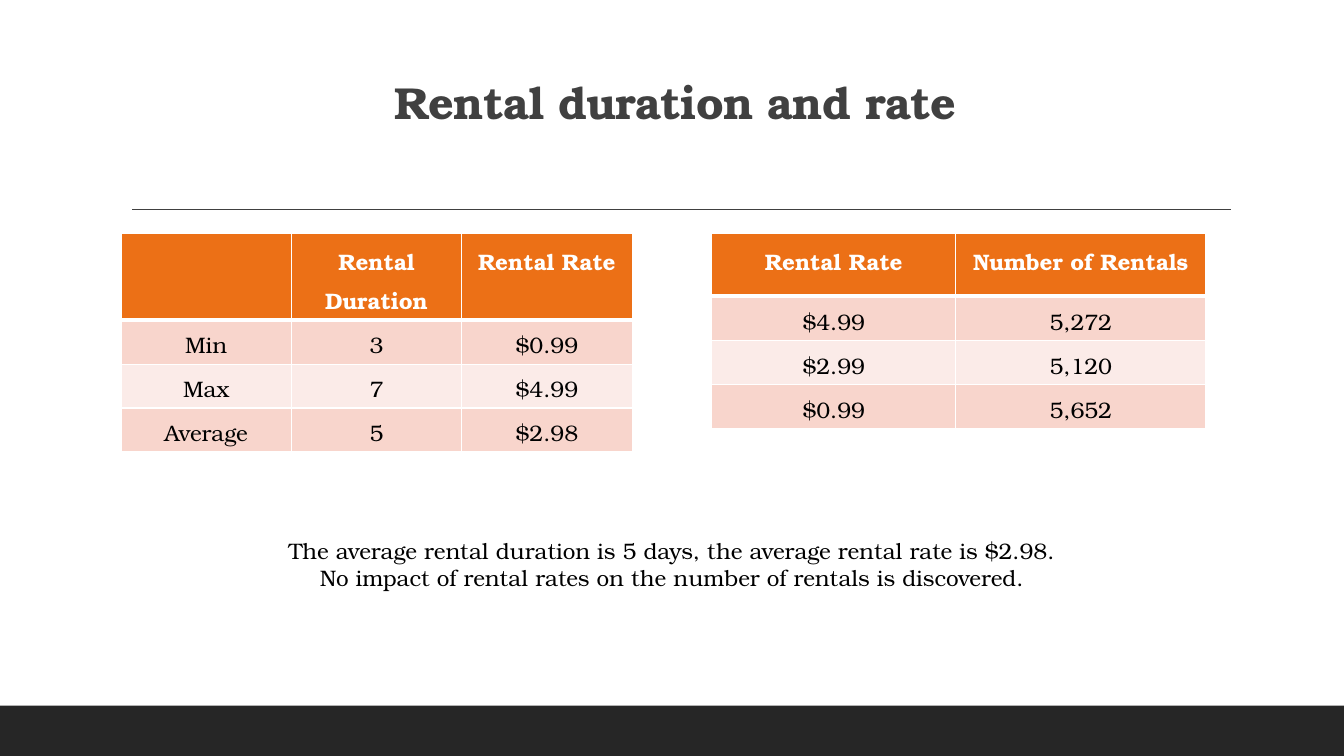
from lxml import etree
from pptx import Presentation
from pptx import util as u
from pptx.dml.color import RGBColor
from pptx.enum import shapes, text
from pptx.oxml.ns import qn

COLORS = {"band": "262626", "title": "404040", "header": "EC7016", "odd": "F8D5CC",
          "even": "FBEBE8", "white": "FFFFFF", "black": "000000"}
FONT = "TeX Gyre Bonum"
WIDTH, HEIGHT = 13.33, 7.5
TABLE_TOP, ROW_HEIGHT = 2.32, 0.41


def write(para, words, color, size=16, bold=False):
    para.alignment = text.PP_ALIGN.CENTER
    span = para.add_run()
    span.text = words
    for name, value in {"name": FONT, "size": u.Pt(size), "bold": bold}.items():
        setattr(span.font, name, value)
    span.font.color.rgb = RGBColor.from_string(COLORS[color])
    return span


def add_borders(cell, bottom):
    props = cell._tc.get_or_add_tcPr()
    widths = {"lnL": 1, "lnR": 1, "lnT": 1, "lnB": bottom}
    for place, (side, points) in enumerate(widths.items()):
        line = etree.Element(qn(f"a:{side}"), w=str(u.Pt(points)))
        fill = etree.SubElement(line, qn("a:solidFill"))
        etree.SubElement(fill, qn("a:srgbClr"), val=COLORS["white"])
        props.insert(place, line)


deck = Presentation()
deck.slide_width, deck.slide_height = u.Inches(WIDTH), u.Inches(HEIGHT)
page = deck.slides.add_slide(deck.slide_layouts[5])

# Footer band
band = page.shapes.add_shape(shapes.MSO_SHAPE.RECTANGLE, 0, u.Inches(HEIGHT - 0.5),
                             deck.slide_width, u.Inches(0.5))
band.shadow.inherit = False
band.fill.solid()
band.fill.fore_color.rgb = RGBColor.from_string(COLORS["band"])
band.line.fill.background()

# Rule under the title
rule = page.shapes.add_connector(shapes.MSO_CONNECTOR.STRAIGHT, u.Inches(1.31),
                                 u.Inches(2.08), u.Inches(12.21), u.Inches(2.08))
rule.line.color.rgb = RGBColor.from_string(COLORS["title"])
rule.line.width = u.Pt(1)
etree.SubElement(rule._element.spPr, qn("a:effectLst"))

# Title
title = page.shapes.title
for name, value in {"left": 1.2, "top": 0.31, "width": 11, "height": 1.02}.items():
    setattr(title, name, u.Inches(value))
title.text_frame.vertical_anchor = text.MSO_ANCHOR.BOTTOM
title.text_frame.word_wrap = True
heading = title.text_frame.paragraphs[0]
heading.line_spacing = 0.9
span = write(heading, "Rental duration and rate", "title", 32, True)
span.font._element.set("spc", "-50")

# Tables: left edge, column widths, header height, rows
tables = [
    (7.06, [2.42, 2.48], 0.62,
     [["Rental Rate", "Number of Rentals"],
      ["$4.99", "5,272"], ["$2.99", "5,120"], ["$0.99", "5,652"]]),
    (1.2, [1.69] * 3, 0.73,
     [["", "Rental Duration", "Rental Rate"],
      ["Min", "3", "$0.99"], ["Max", "7", "$4.99"], ["Average", "5", "$2.98"]]),
]
for left, widths, header_height, rows in tables:
    heights = [header_height] + [ROW_HEIGHT] * (len(rows) - 1)
    table = page.shapes.add_table(len(rows), len(widths), u.Inches(left), u.Inches(TABLE_TOP),
                                  u.Inches(sum(widths)), u.Inches(sum(heights))).table
    for column, width in zip(table.columns, widths):
        column.width = u.Inches(width)
    for r, words_in_row in enumerate(rows):
        table.rows[r].height = u.Inches(heights[r])
        header = r == 0
        fill = "header" if header else "odd" if r % 2 else "even"
        for c, words in enumerate(words_in_row):
            cell = table.cell(r, c)
            cell.margin_top = cell.margin_bottom = u.Inches(0.04)
            cell.fill.solid()
            cell.fill.fore_color.rgb = RGBColor.from_string(COLORS[fill])
            add_borders(cell, 3 if header else 1)
            if words:
                para = cell.text_frame.paragraphs[0]
                para.line_spacing = 1.2
                write(para, words, "white" if header else "black", bold=header)

# Findings
box = page.shapes.add_textbox(u.Inches(1.35), u.Inches(5.28), u.Inches(10.63), u.Inches(0.64))
frame = box.text_frame
frame.word_wrap = True
frame.auto_size = text.MSO_AUTO_SIZE.SHAPE_TO_FIT_TEXT
write(frame.paragraphs[0],
      "The average rental duration is 5 days, the average rental rate is $2.98.", "black")
write(frame.add_paragraph(),
      "No impact of rental rates on the number of rentals is discovered.", "black")

deck.save("out.pptx")
